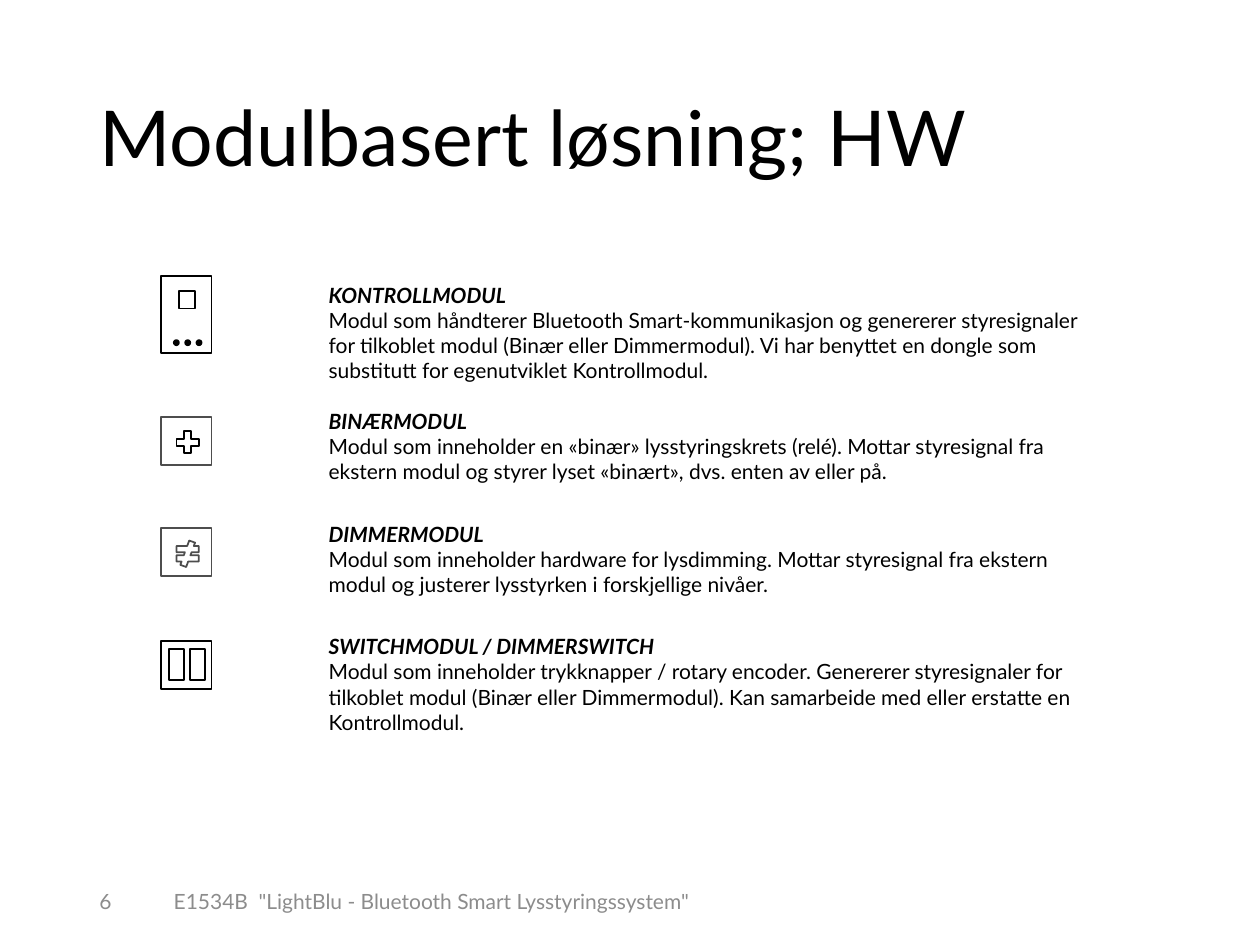
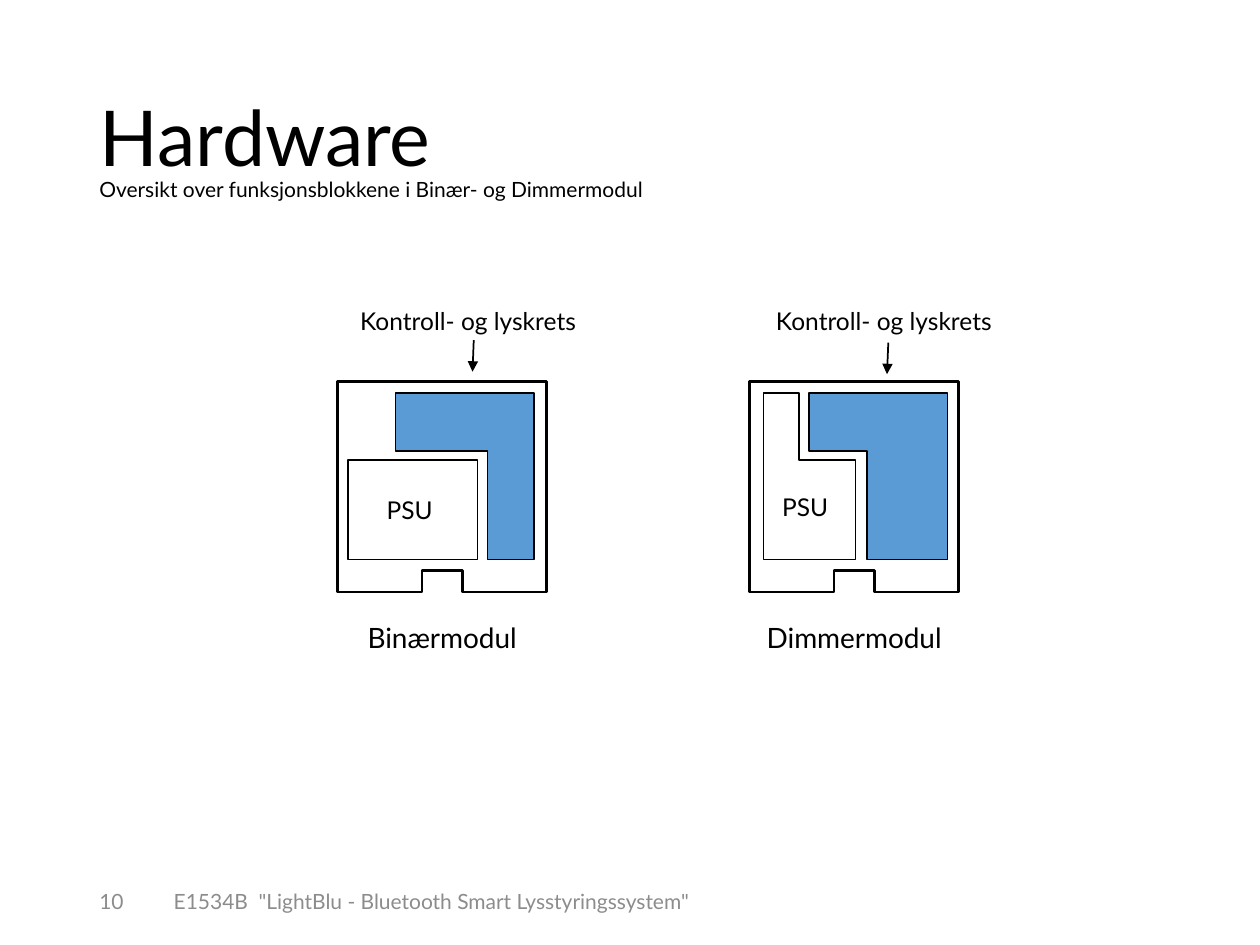
from pptx import Presentation
from pptx.dml.color import RGBColor
from pptx.enum.shapes import MSO_CONNECTOR, MSO_SHAPE
from pptx.enum.text import MSO_ANCHOR, PP_ALIGN
from pptx.oxml.ns import qn
from pptx.util import Inches, Pt
from lxml import etree

RECT, DOT = MSO_SHAPE.RECTANGLE, MSO_SHAPE.FLOWCHART_CONNECTOR
PLUS, UNEQUAL = MSO_SHAPE.MATH_PLUS, MSO_SHAPE.MATH_NOT_EQUAL
STRAIGHT = MSO_CONNECTOR.STRAIGHT
LEFT, CENTER = PP_ALIGN.LEFT, PP_ALIGN.CENTER
TOP, MIDDLE = MSO_ANCHOR.TOP, MSO_ANCHOR.MIDDLE

FONT = "Lato"
BLACK, WHITE, DARK, GREY, BLUE = "000000", "FFFFFF", "4D4D4D", "8C8C8C", "5B9BD5"
MARGIN = 0.69
FOOTER = 'E1534B  "LightBlu - Bluetooth Smart Lysstyringssystem"'

# Heading, body, text top, text height
MODULES = [
    ("KONTROLLMODUL",
     "Modul som håndterer Bluetooth Smart-kommunikasjon og genererer styresignaler "
     "for tilkoblet modul (Binær eller Dimmermodul). Vi har benyttet en dongle som "
     "substitutt for egenutviklet Kontrollmodul.", 2.19, 0.91),
    ("BINÆRMODUL",
     "Modul som inneholder en «binær» lysstyringskrets (relé). Mottar styresignal fra "
     "ekstern modul og styrer lyset «binært», dvs. enten av eller på.", 3.19, 0.71),
    ("DIMMERMODUL",
     "Modul som inneholder hardware for lysdimming. Mottar styresignal fra ekstern "
     "modul og justerer lysstyrken i forskjellige nivåer.", 4.09, 0.71),
    ("SWITCHMODUL / DIMMERSWITCH",
     "Modul som inneholder trykknapper / rotary encoder. Genererer styresignaler for "
     "tilkoblet modul (Binær eller Dimmermodul). Kan samarbeide med eller erstatte en "
     "Kontrollmodul.", 4.98, 0.91),
]

# Per icon: top, height, frame line, then parts (kind, dx, dy, width, height, fill, line)
ICON_X, ICON_W = 1.28, 0.4
ICONS = [
    (2.19, 0.61, BLACK,
     [(RECT, 0.14, 0.12, 0.13, 0.14, WHITE, BLACK)]
     + [(DOT, 0.1 + 0.09 * i, 0.51, 0.04, 0.04, BLACK, BLACK) for i in range(3)]),
    (3.31, 0.38, DARK, [(PLUS, 0.09, 0.08, 0.24, 0.24, WHITE, BLACK)]),
    (4.19, 0.38, DARK, [(UNEQUAL, 0.09, 0.1, 0.24, 0.21, WHITE, DARK)]),
    (5.09, 0.38, BLACK,
     [(RECT, 0.06 + 0.17 * i, 0.06, 0.12, 0.25, WHITE, BLACK) for i in range(2)]),
]

# Board points are offsets from the top left corner of each board
BOARD_Y, BOARD_W = 3.03, 1.66
BOARD = [(0, 0), (BOARD_W, 0), (BOARD_W, 1.67), (0.99, 1.67),
         (0.99, 1.5), (0.67, 1.5), (0.67, 1.67), (0, 1.67)]
ROOM_TOP, ROOM_END = 0.09, 1.41
BOARDS = [
    dict(name="Binærmodul", x=2.68, psu=[(0.08, 0.62), (1.11, 0.62), (1.11, ROOM_END),
                                         (0.08, ROOM_END)],
         mark=(2.97, 3.88), ell=(0.46, 1.19, 1.56), label=2.76, tip=(3.76, 2.7)),
    dict(name="Dimmermodul", x=5.95, psu=[(0.11, ROOM_TOP), (0.39, ROOM_TOP), (0.39, 0.62),
                                          (0.84, 0.62), (0.84, ROOM_END), (0.11, ROOM_END)],
         mark=(6.11, 3.86), ell=(0.47, 0.93, 1.57), label=6.06, tip=(7.05, 2.72)),
]


def rgb(code):
    return RGBColor.from_string(code)


def style(para, size, color=BLACK, align=LEFT, bold=False):
    para.alignment = align
    for run in para.runs:
        font = run.font
        font.name, font.size, font.color.rgb = FONT, Pt(size), rgb(color)
        font.bold = font.italic = bold


def write(slide, text, x, y, w, h, size, color=BLACK, align=LEFT, anchor=TOP):
    frame = slide.shapes.add_textbox(*map(Inches, (x, y, w, h))).text_frame
    frame.word_wrap, frame.vertical_anchor = True, anchor
    frame.text = text
    for para in frame.paragraphs:
        style(para, size, color, align)
    return frame


def paint(shape, fill, line, width=1):
    shape.shadow.inherit = False
    shape.fill.solid()
    shape.fill.fore_color.rgb = rgb(fill)
    shape.line.color.rgb = rgb(line)
    shape.line.width = Pt(width)


def draw(slide, kind, x, y, w, h, fill=WHITE, line=BLACK):
    paint(slide.shapes.add_shape(kind, *map(Inches, (x, y, w, h))), fill, line)


def outline(slide, x, points, fill=WHITE, width=1):
    """Draw a closed outline from offsets to the board at x."""
    spots = [(Inches(x + dx), Inches(BOARD_Y + dy)) for dx, dy in points]
    path = slide.shapes.build_freeform(*spots[0])
    path.add_line_segments(spots[1:], close=True)
    paint(path.convert_to_shape(), fill, BLACK, width)


def arrow(slide, x, y):
    link = slide.shapes.add_connector(
        STRAIGHT, *map(Inches, (x, y, x - 0.01, y + 0.25)))
    link.line.color.rgb = rgb(BLACK)
    link.line.width = Pt(1)
    etree.SubElement(link.line._get_or_add_ln(), qn("a:tailEnd"), type="triangle")
    etree.SubElement(link._element.spPr, qn("a:effectLst"))


def new_slide(deck, title, number):
    slide = deck.slides.add_slide(deck.slide_layouts[5])
    head = slide.shapes.title
    head.left, head.top, head.width, head.height = map(Inches, (MARGIN, 0.4, 8.62, 1.45))
    frame = head.text_frame
    frame.text = title
    frame.vertical_anchor = MIDDLE
    style(frame.paragraphs[0], 44)
    frame.paragraphs[0].line_spacing = 0.9
    write(slide, FOOTER, 1.28, 6.95, 4.45, 0.4, 12, GREY, anchor=MIDDLE)
    write(slide, str(number), MARGIN, 6.95, 0.6, 0.4, 12, GREY, anchor=MIDDLE)
    return slide


def list_modules(deck):
    slide = new_slide(deck, "Modulbasert løsning; HW", 6)
    for y, h, line, parts in ICONS:
        draw(slide, RECT, ICON_X, y, ICON_W, h, line=line)
        for kind, dx, dy, *rest in parts:
            draw(slide, kind, ICON_X + dx, y + dy, *rest)
    for head, body, y, h in MODULES:
        frame = write(slide, f"{head}\n{body}", 2.51, y, 6.31, h, 12)
        style(frame.paragraphs[0], 12, bold=True)


def show_boards(deck):
    slide = new_slide(deck, "Hardware", 10)
    for board in BOARDS:
        x = board["x"]
        start, bend, end = board["ell"]
        outline(slide, x, BOARD, width=1.5)
        outline(slide, x, board["psu"])
        outline(slide, x, [(start, ROOM_TOP), (end, ROOM_TOP), (end, ROOM_END),
                           (bend, ROOM_END), (bend, 0.55), (start, 0.55)], BLUE)
        write(slide, "PSU", *board["mark"], 0.6, 0.34, 14)
        write(slide, board["name"], x, 4.88, BOARD_W, 0.37, 16, align=CENTER)
        write(slide, "Kontroll- og lyskrets", board["label"], 2.38, 1.99, 0.34, 14)
        arrow(slide, *board["tip"])
    write(slide, "Oversikt over funksjonsblokkene i Binær- og Dimmermodul",
          MARGIN, 1.35, 8.62, 0.3, 12)


def main():
    deck = Presentation()
    deck.slide_width, deck.slide_height = Inches(10), Inches(7.5)
    list_modules(deck)
    show_boards(deck)
    deck.save("out.pptx")


if __name__ == "__main__":
    main()
